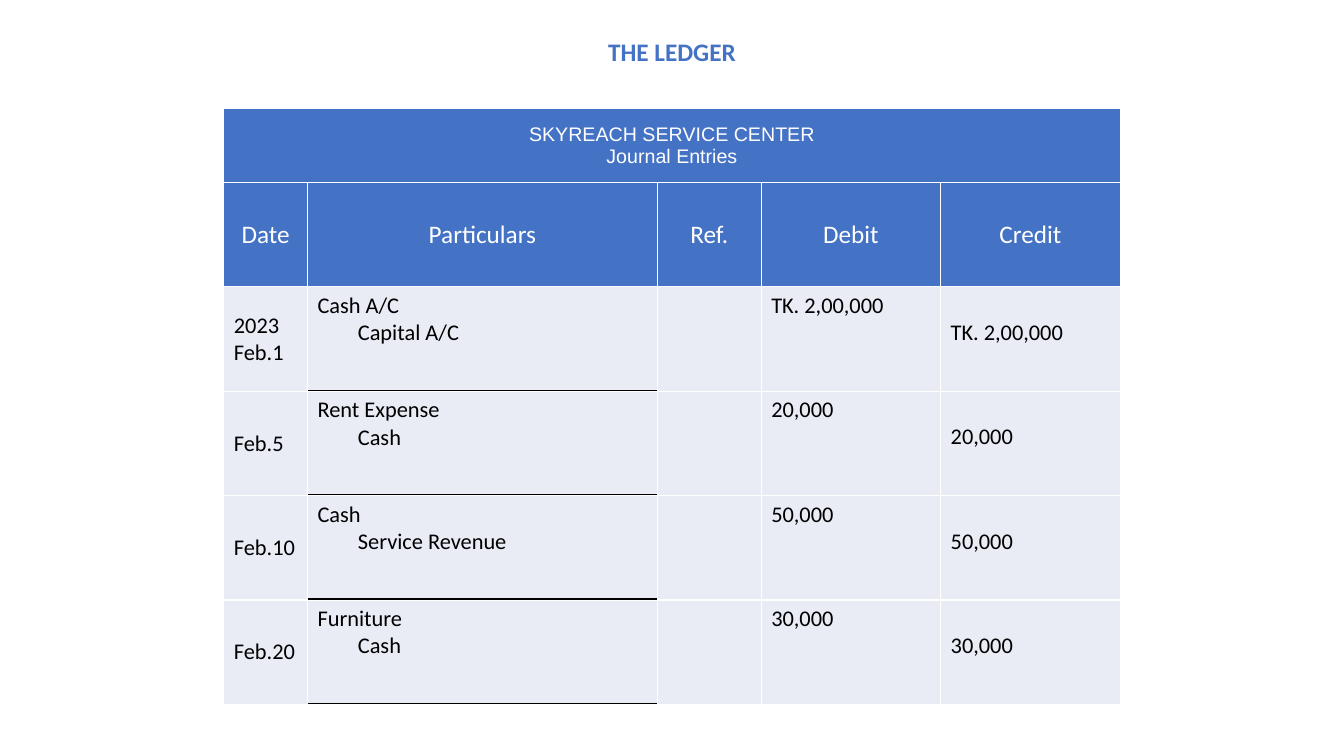
from lxml.etree import SubElement
from pptx import Presentation
from pptx.dml.color import RGBColor
from pptx.enum.shapes import MSO_CONNECTOR
from pptx.enum.text import MSO_ANCHOR as Anchor, PP_ALIGN as Align
from pptx.oxml.ns import qn
from pptx.util import Inches, Pt

# Content
TITLE = "THE LEDGER"
BANNER = ["SKYREACH SERVICE CENTER", "Journal Entries"]
HEADINGS = ["Date", "Particulars", "Ref.", "Debit", "Credit"]
# Date lines, debited account, credited account, amount
ENTRIES = [
    (["2023", "Feb.1"], "Cash A/C", "Capital A/C", "TK. 2,00,000"),
    (["Feb.5"], "Rent Expense", "Cash", "20,000"),
    (["Feb.10"], "Cash", "Service Revenue", "50,000"),
    (["Feb.20"], "Furniture", "Cash", "30,000"),
]

# Colours and measures, in inches
BLUE = RGBColor(0x44, 0x72, 0xC4)
PALE = RGBColor(0xE9, 0xEB, 0xF5)
WHITE = RGBColor(0xFF, 0xFF, 0xFF)
BLACK = RGBColor(0, 0, 0)
LEFT, BANNER_TOP, BANNER_HEIGHT = 2.22, 1.08, 0.73
COLUMNS = [0.83, 3.47, 1.03, 1.78, 1.78]
WIDTH = sum(COLUMNS)
ROW_HEIGHT = 1.036
JOURNAL_TOP = BANNER_TOP + BANNER_HEIGHT
CELL_MARGIN, TEXT_LINE, CREDIT_INDENT = 0.05, 0.27, 0.4


def write(frame, lines, size=16, color=BLACK, font="Calibri", bold=False,
          align=Align.LEFT, indents=()):
    """Fill a text frame with one paragraph per line."""
    for index, line in enumerate(lines):
        paragraph = frame.paragraphs[0] if index == 0 else frame.add_paragraph()
        paragraph.alignment = align
        if index < len(indents):
            properties = paragraph._p.get_or_add_pPr()
            properties.set("marL", str(Inches(indents[index])))
        run = paragraph.add_run()
        run.text = line
        run.font.size, run.font.name, run.font.bold = Pt(size), font, bold
        run.font.color.rgb = color


def add_grid(slide, top, columns, rows, row_height):
    shape = slide.shapes.add_table(rows, len(columns), Inches(LEFT), Inches(top),
                                   Inches(sum(columns)), Inches(rows * row_height))
    table = shape.table
    table.horz_banding = False
    for column, width in zip(table.columns, columns):
        column.width = Inches(width)
    for index, row in enumerate(table.rows):
        row.height = Inches(row_height)
        for cell in row.cells:
            cell.fill.solid()
            cell.fill.fore_color.rgb = PALE if index else BLUE
            cell.vertical_anchor = Anchor.TOP if index else Anchor.MIDDLE
    return table


def main():
    presentation = Presentation()
    presentation.slide_width, presentation.slide_height = Inches(13.33), Inches(7.5)
    slide = presentation.slides.add_slide(presentation.slide_layouts[5])

    # Title
    title = slide.shapes.title
    title.left, title.top = Inches(LEFT), Inches(0.31)
    title.width, title.height = Inches(WIDTH), Inches(0.4)
    title.text_frame.vertical_anchor = Anchor.MIDDLE
    write(title.text_frame, [TITLE], size=18, color=BLUE, bold=True, align=Align.CENTER)

    # Journal
    journal = add_grid(slide, JOURNAL_TOP, COLUMNS, len(ENTRIES) + 1, ROW_HEIGHT)
    for column, heading in enumerate(HEADINGS):
        write(journal.cell(0, column).text_frame, [heading], size=18, color=WHITE,
              align=Align.CENTER)
    for row, (date, debited, credited, amount) in enumerate(ENTRIES, start=1):
        day, particulars, _, debit, credit = journal.rows[row].cells
        day.vertical_anchor = Anchor.MIDDLE
        write(day.text_frame, date)
        write(particulars.text_frame, [debited, credited], indents=(0, CREDIT_INDENT))
        write(debit.text_frame, [amount])
        # The credit amount stands level with the credited account
        credit.margin_top = Inches(CELL_MARGIN + TEXT_LINE)
        write(credit.text_frame, [amount])

    # Banner
    banner = add_grid(slide, BANNER_TOP, [WIDTH], 1, BANNER_HEIGHT)
    write(banner.cell(0, 0).text_frame, BANNER, size=14, color=WHITE, font="Arial",
          align=Align.CENTER)

    # Rules under the particulars of each entry
    rule_left = LEFT + COLUMNS[0]
    for row in range(2, len(ENTRIES) + 2):
        y = Inches(JOURNAL_TOP + row * ROW_HEIGHT - 0.01)
        rule = slide.shapes.add_connector(MSO_CONNECTOR.STRAIGHT, Inches(rule_left), y,
                                          Inches(rule_left + COLUMNS[1]), y)
        rule.line.color.rgb = BLACK
        rule.line.width = Pt(1)
        SubElement(rule._element.spPr, qn("a:effectLst"))

    presentation.save("out.pptx")


if __name__ == "__main__":
    main()
